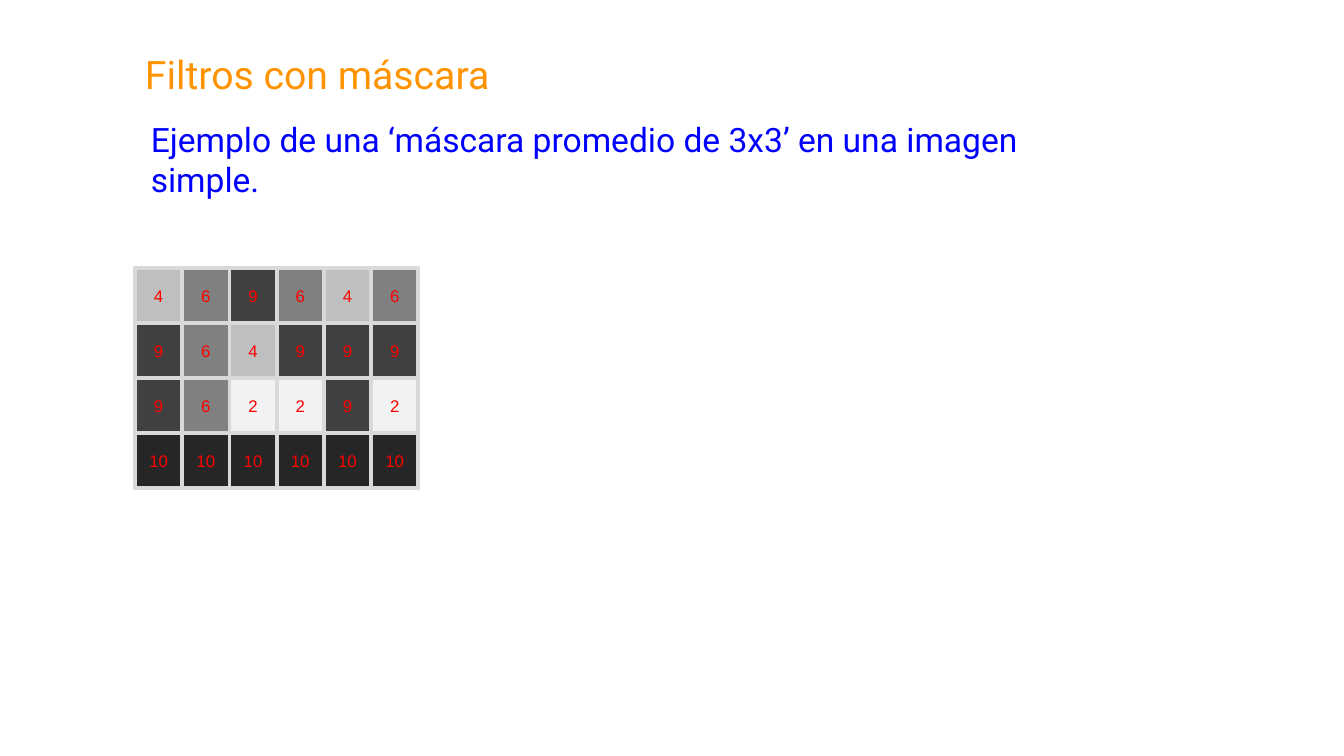
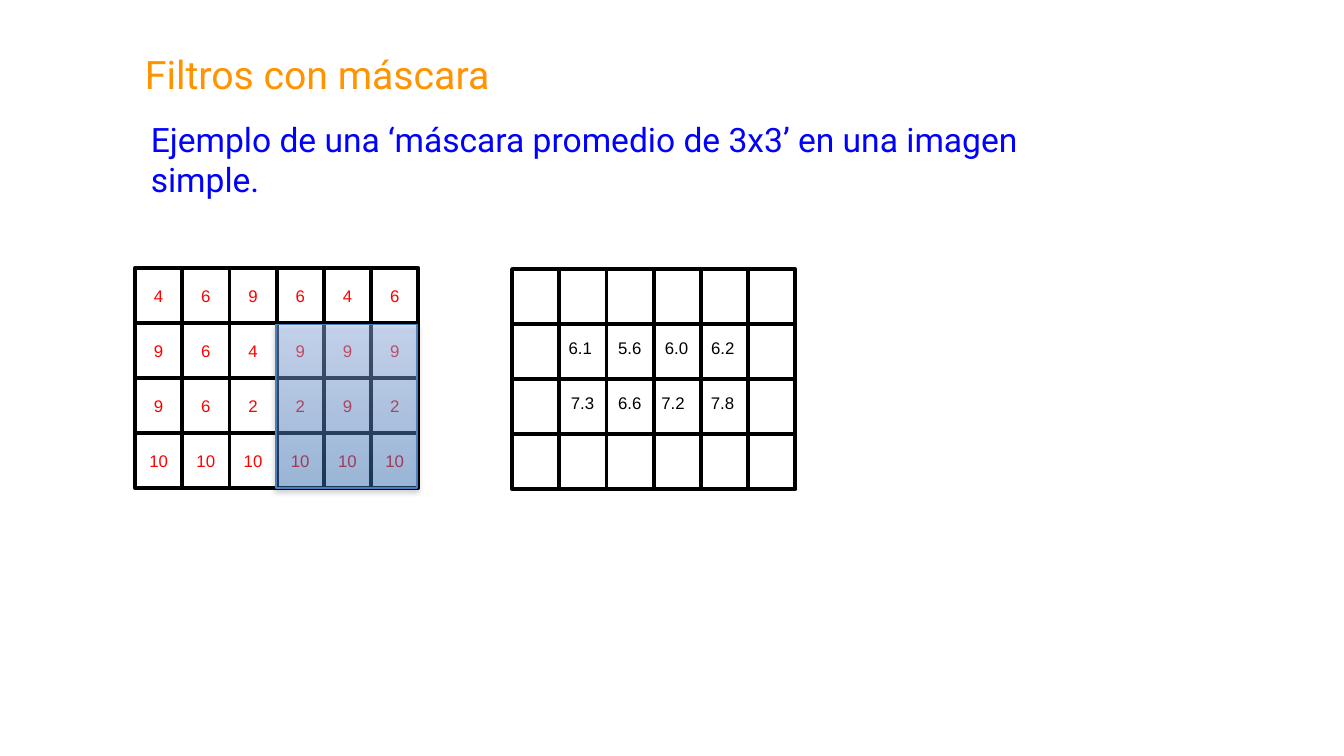
import lxml.etree
import pptx
import pptx.dml.color
import pptx.enum.shapes
import pptx.enum.text
import pptx.oxml.ns
import pptx.util

Pt = pptx.util.Pt
RGBColor = pptx.dml.color.RGBColor
Align = pptx.enum.text.PP_ALIGN
Anchor = pptx.enum.text.MSO_ANCHOR
qn = pptx.oxml.ns.qn

ORANGE = RGBColor(0xFF, 0x93, 0x00)
BLUE = RGBColor(0x00, 0x00, 0xFF)
RED = RGBColor(0xFF, 0x00, 0x00)
BLACK = RGBColor(0x00, 0x00, 0x00)
PALE_GREY = RGBColor(0xD9, 0xD9, 0xD9)
MASK_DARK = RGBColor(0x3F, 0x80, 0xCE)
MASK_LIGHT = RGBColor(0xA4, 0xC4, 0xFF)
MASK_LINE = RGBColor(0x4B, 0x7E, 0xBC)
GREYS = {
    2: RGBColor(0xF2, 0xF2, 0xF2),
    4: RGBColor(0xBF, 0xBF, 0xBF),
    6: RGBColor(0x80, 0x80, 0x80),
    9: RGBColor(0x40, 0x40, 0x40),
    10: RGBColor(0x26, 0x26, 0x26),
}

TITLE = "Filtros con máscara"
SUBTITLE = "Ejemplo de una ‘máscara promedio de 3x3’ en una imagen simple."
PIXELS = [
    [4, 6, 9, 6, 4, 6],
    [9, 6, 4, 9, 9, 9],
    [9, 6, 2, 2, 9, 2],
    [10, 10, 10, 10, 10, 10],
]
EMPTY_GRID = [[""] * 6 for _ in range(4)]
AVERAGES = [
    (177.2, [("6.1", 297.5), ("5.6", 324), ("6.0", 349.1), ("6.2", 373.9)]),
    (206.7, [("7.3", 298.7), ("6.6", 324), ("7.2", 347.2), ("7.8", 373.7)]),
]
PIXELS_AT = (72.3, 143.5)
RESULT_AT = (274.3, 144.1)
CELL_WIDTH, CELL_HEIGHT = 25.3, 29.52


def write(frame, text, size, font, color, align=Align.LEFT):
    """Put one formatted paragraph into a text frame."""
    frame.text = text
    para = frame.paragraphs[0]
    para.alignment = align
    for span in para.runs:
        span.font.size = Pt(size)
        span.font.name = font
        span.font.color.rgb = color


def fit_frame(frame, wrap):
    """Anchor a frame at the top and let it grow with its text."""
    frame.word_wrap = wrap
    frame.auto_size = pptx.enum.text.MSO_AUTO_SIZE.SHAPE_TO_FIT_TEXT
    frame.vertical_anchor = Anchor.TOP


def clear_side_margins(frame):
    """Give the text the full width of its shape."""
    frame.margin_left = frame.margin_right = 0


def add_text(page, text, place, size, font, color, wrap=False):
    """Add a text box at left, top, width, height."""
    box = page.shapes.add_textbox(*map(Pt, place))
    fit_frame(box.text_frame, wrap)
    write(box.text_frame, text, size, font, color)


def add_page(deck):
    """Add a slide with the shared title and subtitle."""
    page = deck.slides.add_slide(deck.slide_layouts[5])
    title = page.shapes.title
    title.left, title.top, title.width, title.height = map(Pt, (70.6, 23.3, 198.7, 32.4))
    fit_frame(title.text_frame, True)
    clear_side_margins(title.text_frame)
    write(title.text_frame, TITLE, 21, "Roboto", ORANGE, Align.CENTER)
    add_text(page, SUBTITLE, (73.7, 60, 485.3, 51.1), 18, "Roboto", BLUE, wrap=True)
    return page


def add_rectangle(page, place, line_color, line_width):
    """Add an outlined rectangle without a shadow."""
    shape = page.shapes.add_shape(
        pptx.enum.shapes.MSO_SHAPE.RECTANGLE, *map(Pt, place))
    shape.shadow.inherit = False
    shape.line.color.rgb = line_color
    shape.line.width = Pt(line_width)
    return shape


def add_grid(page, values, corner, line_color, fills=None):
    """Add a grid of cells, shaded by value when fills are given."""
    left, top = corner
    for row, row_values in enumerate(values):
        for column, value in enumerate(row_values):
            place = (left + column * CELL_WIDTH, top + row * CELL_HEIGHT,
                     CELL_WIDTH, CELL_HEIGHT)
            cell = add_rectangle(page, place, line_color, 2)
            if fills:
                cell.fill.solid()
                cell.fill.fore_color.rgb = fills[value]
            else:
                cell.fill.background()
            if value != "":
                frame = cell.text_frame
                clear_side_margins(frame)
                frame.vertical_anchor = Anchor.MIDDLE
                write(frame, str(value), 9, "Arial", RED, Align.CENTER)


def set_alpha(color, percent):
    """Set the opacity of a colour element."""
    lxml.etree.SubElement(color, qn("a:alpha")).set("val", str(percent * 1000))


def add_mask(page, place):
    """Add the translucent mask window with its soft shadow."""
    mask = add_rectangle(page, place, MASK_LINE, 0.75)
    mask.fill.gradient()
    mask.fill.gradient_angle = 90
    for stop, color in zip(mask.fill.gradient_stops, (MASK_DARK, MASK_LIGHT)):
        stop.color.rgb = color
    properties = mask.element.spPr
    for color in properties.find(qn("a:gradFill")).iter(qn("a:srgbClr")):
        set_alpha(color, 41)
    shadow = lxml.etree.SubElement(
        properties.find(qn("a:effectLst")), qn("a:outerShdw"),
        blurRad=str(Pt(3.1)), dist=str(Pt(1.8)), dir="5400000", rotWithShape="0")
    set_alpha(lxml.etree.SubElement(shadow, qn("a:srgbClr"), val=str(BLACK)), 35)


def build_image_page(deck):
    """Show the image as shaded pixels."""
    page = add_page(deck)
    add_grid(page, PIXELS, PIXELS_AT, PALE_GREY, GREYS)


def build_result_page(deck):
    """Show the mask over the pixels beside the averages."""
    page = add_page(deck)
    add_grid(page, PIXELS, PIXELS_AT, BLACK)
    add_grid(page, EMPTY_GRID, RESULT_AT, BLACK)
    add_mask(page, (147.8, 173.7, 75.6, 87.8))
    for top, averages in AVERAGES:
        for text, left in averages:
            add_text(page, text, (left, top, 27.4, 18), 9, "Arial", BLACK)


def main():
    """Build and save the deck."""
    deck = pptx.Presentation()
    deck.slide_width, deck.slide_height = Pt(720), Pt(405)
    build_image_page(deck)
    build_result_page(deck)
    deck.save("out.pptx")


if __name__ == "__main__":
    main()
